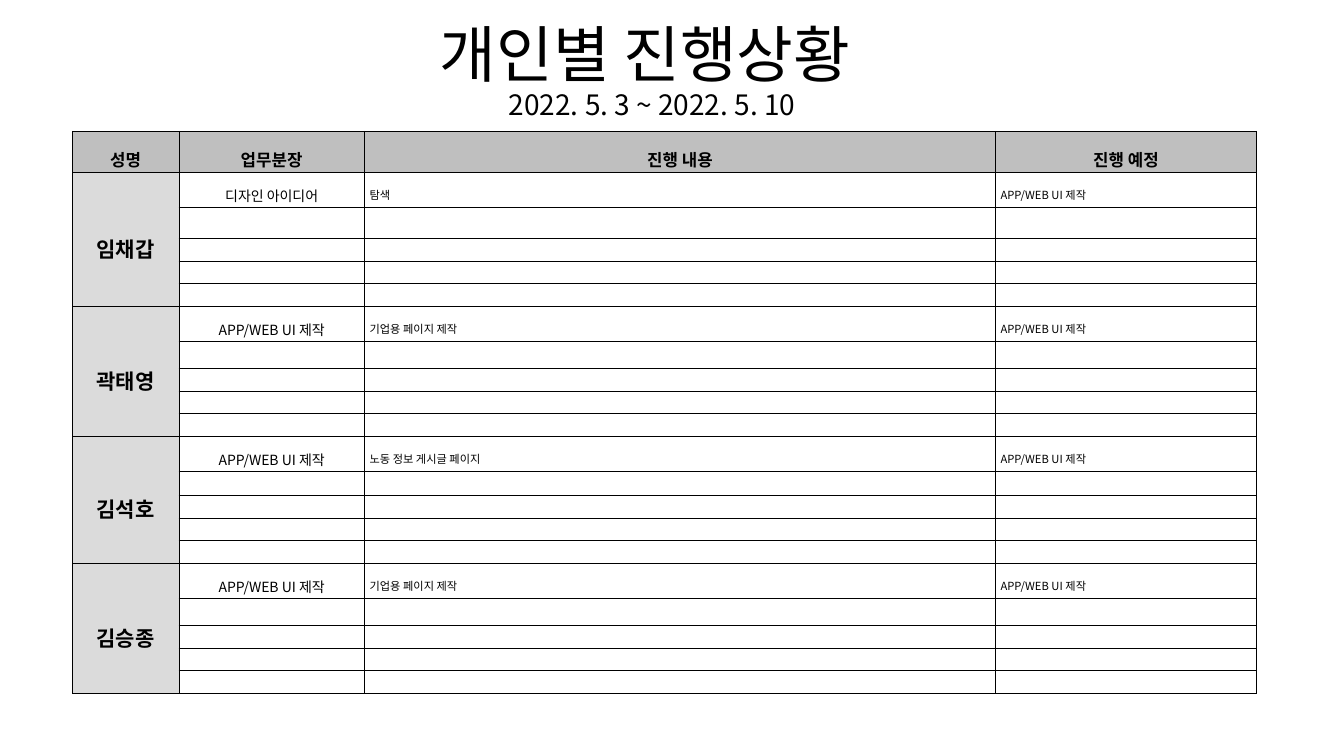
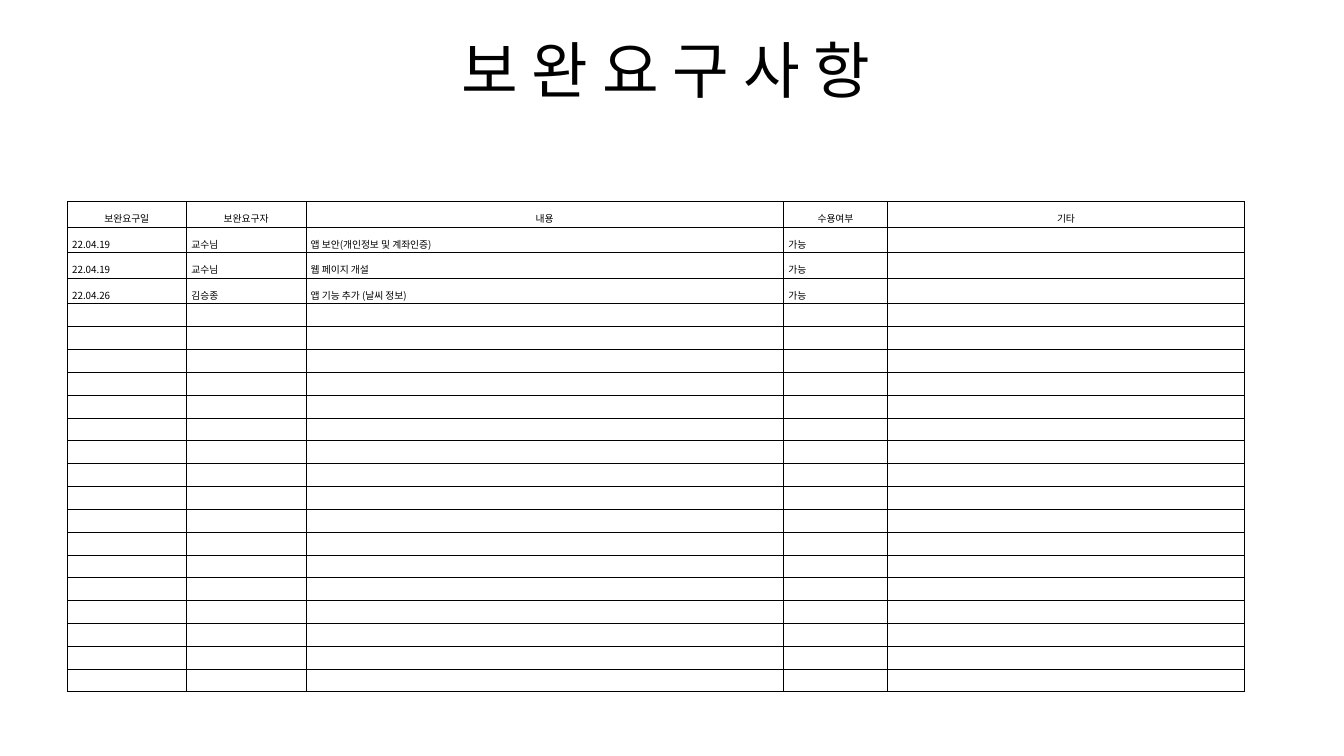
from lxml import etree
from pptx import Presentation
from pptx import util as u
from pptx.dml.color import RGBColor
from pptx.enum import text
from pptx.oxml.ns import qn

PX = 914400 // 300  # 300 px to the inch
FONT = "Noto Sans CJK KR"
INK, HEAD, NAME = "000000", "BFBFBF", "DBDBDB"
MID, JUST = text.PP_ALIGN.CENTER, text.PP_ALIGN.JUSTIFY
EDGES = ("a:lnL", "a:lnR", "a:lnT", "a:lnB")


def write(para, words, size, bold=False):
    """Add one run in the shared font, Korean glyphs included."""
    run = para.add_run()
    run.text = words
    font = run.font
    font.size, font.bold, font.name = u.Pt(size), bold, FONT
    font.color.rgb = RGBColor.from_string(INK)
    latin = font._element.find(qn("a:latin"))
    east = etree.Element(qn("a:ea"), typeface=FONT)
    latin.addnext(east)


def grid(slide, left, top, cols, rows, cells):
    """Draw a ruled table; cells maps (row, col) to words, size, bold, align, fill."""
    frame = slide.shapes.add_table(len(rows), len(cols), left * PX, top * PX,
                                   sum(cols) * PX, sum(rows) * PX)
    table = frame.table
    table.first_row = table.horz_banding = False
    for col, width in zip(table.columns, cols):
        col.width = width * PX
    for r, height in enumerate(rows):
        table.rows[r].height = height * PX
        for c in range(len(cols)):
            cell = table.cell(r, c)
            words, size, bold, align, fill = cells.get((r, c), ("", 7, False, JUST, None))
            cell.margin_left = cell.margin_right = 15 * PX
            cell.margin_top = cell.margin_bottom = 3 * PX
            cell.vertical_anchor = text.MSO_ANCHOR.MIDDLE
            if fill:
                cell.fill.solid()
                cell.fill.fore_color.rgb = RGBColor.from_string(fill)
            else:
                cell.fill.background()
            para = cell.text_frame.paragraphs[0]
            if words:
                para.alignment, para.line_spacing = align, 1.6
                write(para, words, size, bold)
            else:
                para._p.get_or_add_endParaRPr().set("sz", str(size * 100))
            props = cell._tc.get_or_add_tcPr()
            for i, edge in enumerate(EDGES):
                line = etree.Element(qn(edge), w="3556")
                paint = etree.SubElement(line, qn("a:solidFill"))
                etree.SubElement(paint, qn("a:srgbClr"), val=INK)
                props.insert(i, line)
    return table


deck = Presentation()
deck.slide_width, deck.slide_height = 4000 * PX, 2250 * PX

# Titles
slides = []
for left, lines in ((216, (("개인별 진행상황 ", 44), ("2022. 5. 3 ~ 2022. 5. 10", 20))),
                    (258, (("보 완 요 구 사 항", 44),))):
    slide = deck.slides.add_slide(deck.slide_layouts[6])
    slides.append(slide)
    box = slide.shapes.add_textbox(left * PX, 0, 3450 * PX, 435 * PX).text_frame
    box.word_wrap = True
    box.vertical_anchor = text.MSO_ANCHOR.MIDDLE
    para = box.paragraphs[0]
    para.alignment, para.line_spacing = MID, 0.9
    for i, (words, size) in enumerate(lines):
        if i:
            para.add_line_break()
        write(para, words, size)

# Progress by person: five rows each
UI = "APP/WEB UI 제작"
staff = (
    ("임채갑", "디자인 아이디어", "탐색", 93),
    ("곽태영", UI, "기업용 페이지 제작", 81),
    ("김석호", UI, "노동 정보 게시글 페이지", 72),
    ("김승종", UI, "기업용 페이지 제작", 81),
)
cells = {(0, c): (words, 12, True, MID, HEAD)
         for c, words in enumerate(("성명", "업무분장", "진행 내용", "진행 예정"))}
rows = [122]
for name, job, done, second in staff:
    r = len(rows)
    cells[r, 0] = (name, 15, True, MID, NAME)
    cells[r, 1] = (job, 10, False, MID, None)
    cells[r, 2] = (done, 8, False, JUST, None)
    cells[r, 3] = (UI, 8, False, JUST, None)
    rows += [105, second, 67, 67, 67]
table = grid(slides[0], 216, 390, (316, 553, 1878, 777), rows, cells)
for r in range(1, len(rows), 5):
    table.cell(r, 0).merge(table.cell(r + 4, 0))

# Requests for changes
asks = (
    ("보완요구일", "보완요구자", "내용", "수용여부", "기타"),
    ("22.04.19", "교수님", "앱 보안(개인정보 및 계좌인증) ", "가능"),
    ("22.04.19", "교수님", "웹 페이지 개설", "가능"),
    ("22.04.26", "김승종", "앱 기능 추가 (날씨 정보)", "가능"),
)
cells = {(r, c): (words, 7, False, JUST if r else MID, None)
         for r, ask in enumerate(asks) for c, words in enumerate(ask)}
grid(slides[1], 200, 600, (355, 355, 1422, 310, 1062), [76] * 4 + [68] * 17, cells)

deck.save("out.pptx")
